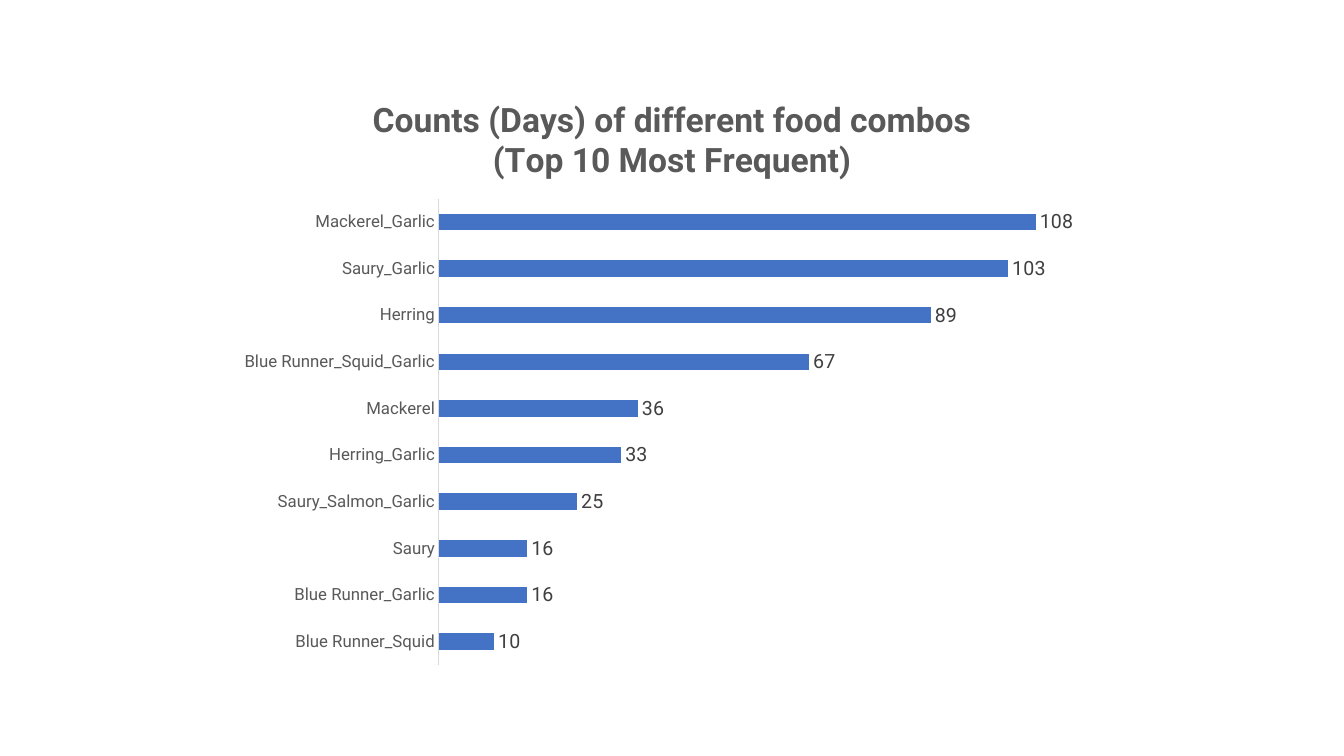
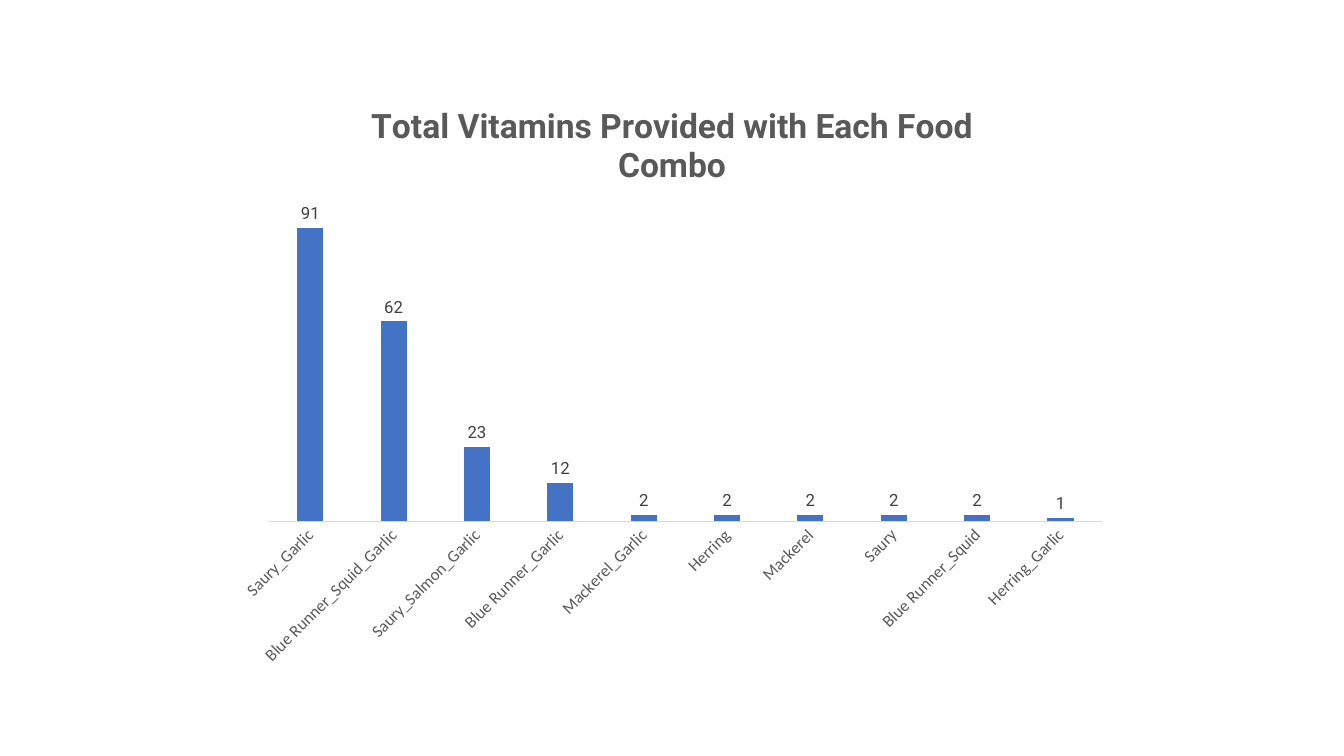
from pptx import Presentation
from pptx.chart.data import CategoryChartData
from pptx.dml.color import RGBColor
from pptx.enum.chart import XL_CHART_TYPE as ChartType, XL_LABEL_POSITION as LabelPosition
from pptx.enum.chart import XL_TICK_MARK as TickMark
from pptx.oxml import parse_xml
from pptx.oxml.ns import nsdecls
from pptx.util import Inches, Pt

COLORS = {"bar": "4472C4", "text": "595959", "value": "404040", "axis": "D9D9D9", "base": "000000"}
SLIDE_WIDTH, SLIDE_HEIGHT = Inches(13.33), Inches(7.5)
CHART_WIDTH, CHART_HEIGHT = Inches(8.89), Inches(5.93)

# Content: plot is left, top, width and height as shares of the chart
CHARTS = [
    {
        "type": ChartType.BAR_CLUSTERED,
        "title": ["Counts (Days) of different food combos", "(Top 10 Most Frequent)"],
        "data": [
            ("Blue Runner_Squid", 10), ("Blue Runner_Garlic", 16), ("Saury", 16),
            ("Saury_Salmon_Garlic", 25), ("Herring_Garlic", 33), ("Mackerel", 36),
            ("Blue Runner_Squid_Garlic", 67), ("Herring", 89), ("Saury_Garlic", 103),
            ("Mackerel_Garlic", 108),
        ],
        "maximum": 120, "gap": 182, "overlap": 0, "value_size": 14,
        "category_font": "Roboto", "angle": 0, "plot": (0.24, 0.2, 0.74, 0.78),
    },
    {
        "type": ChartType.COLUMN_CLUSTERED,
        "title": ["Total Vitamins Provided with Each Food Combo"],
        "data": [
            ("Saury_Garlic", 91), ("Blue Runner_Squid_Garlic", 62), ("Saury_Salmon_Garlic", 23),
            ("Blue Runner_Garlic", 12), ("Mackerel_Garlic", 2), ("Herring", 2), ("Mackerel", 2),
            ("Saury", 2), ("Blue Runner_Squid", 2), ("Herring_Garlic", 1),
        ],
        "maximum": 100, "gap": 219, "overlap": -27, "value_size": 12,
        "category_font": "Calibri", "angle": -45, "plot": (0.05, 0.2, 0.93, 0.54),
    },
]


def style_font(font, name, size, color, bold=False):
    font.name, font.size, font.bold = name, Pt(size), bold
    font.color.rgb = RGBColor.from_string(COLORS[color])


def set_plot_layout(chart, shares):
    plot_area = chart.element.xpath("c:chart/c:plotArea")[0]
    for layout in plot_area.xpath("c:layout"):
        plot_area.remove(layout)
    modes = "".join(f'<c:{side}Mode val="edge"/>' for side in "xy")
    sizes = "".join(f'<c:{side} val="{share}"/>' for side, share in zip("xywh", shares))
    plot_area.insert(0, parse_xml(
        f'<c:layout {nsdecls("c")}><c:manualLayout><c:layoutTarget val="inner"/>'
        f"{modes}{sizes}</c:manualLayout></c:layout>"))


def add_title(chart, lines):
    chart.has_title = True
    frame = chart.chart_title.text_frame
    for index, line in enumerate(lines):
        paragraph = frame.add_paragraph() if index else frame.paragraphs[0]
        run = paragraph.add_run()
        run.text = line
        style_font(run.font, "Roboto", 24, "text", bold=True)


def style_axes(chart, content):
    category_axis, value_axis = chart.category_axis, chart.value_axis
    category_axis.major_tick_mark = category_axis.minor_tick_mark = TickMark.NONE
    category_axis.has_major_gridlines = value_axis.has_major_gridlines = False
    category_axis.format.line.color.rgb = RGBColor.from_string(COLORS["axis"])
    category_axis.format.line.width = Pt(0.75)
    style_font(category_axis.tick_labels.font, content["category_font"], 12, "text")
    if content["angle"]:
        body = chart.element.xpath("c:chart/c:plotArea/c:catAx/c:txPr/a:bodyPr")[0]
        body.set("rot", str(content["angle"] * 60000))
        body.set("vert", "horz")
    value_axis.minimum_scale, value_axis.maximum_scale = 0, content["maximum"]
    value_axis.visible = False


def style_bars(chart, content):
    plot = chart.plots[0]
    plot.vary_by_categories = False
    plot.gap_width, plot.overlap = content["gap"], content["overlap"]
    series = plot.series[0]
    series.format.fill.solid()
    series.format.fill.fore_color.rgb = RGBColor.from_string(COLORS["bar"])
    labels = series.data_labels
    labels.show_value = True
    labels.position = LabelPosition.OUTSIDE_END
    style_font(labels.font, "Roboto", content["value_size"], "value")


def add_chart_slide(presentation, content):
    slide = presentation.slides.add_slide(presentation.slide_layouts[6])
    categories, values = zip(*content["data"])
    chart_data = CategoryChartData()
    chart_data.categories = categories
    chart_data.add_series("Series 1", values)
    # Chart centred on the slide
    chart = slide.shapes.add_chart(
        content["type"], (SLIDE_WIDTH - CHART_WIDTH) // 2, (SLIDE_HEIGHT - CHART_HEIGHT) // 2,
        CHART_WIDTH, CHART_HEIGHT, chart_data).chart
    chart.has_legend = False
    style_font(chart.font, "Calibri", 10, "base")
    add_title(chart, content["title"])
    style_axes(chart, content)
    style_bars(chart, content)
    set_plot_layout(chart, content["plot"])


def main():
    presentation = Presentation()
    presentation.slide_width, presentation.slide_height = SLIDE_WIDTH, SLIDE_HEIGHT
    for content in CHARTS:
        add_chart_slide(presentation, content)
    presentation.save("out.pptx")


if __name__ == "__main__":
    main()
